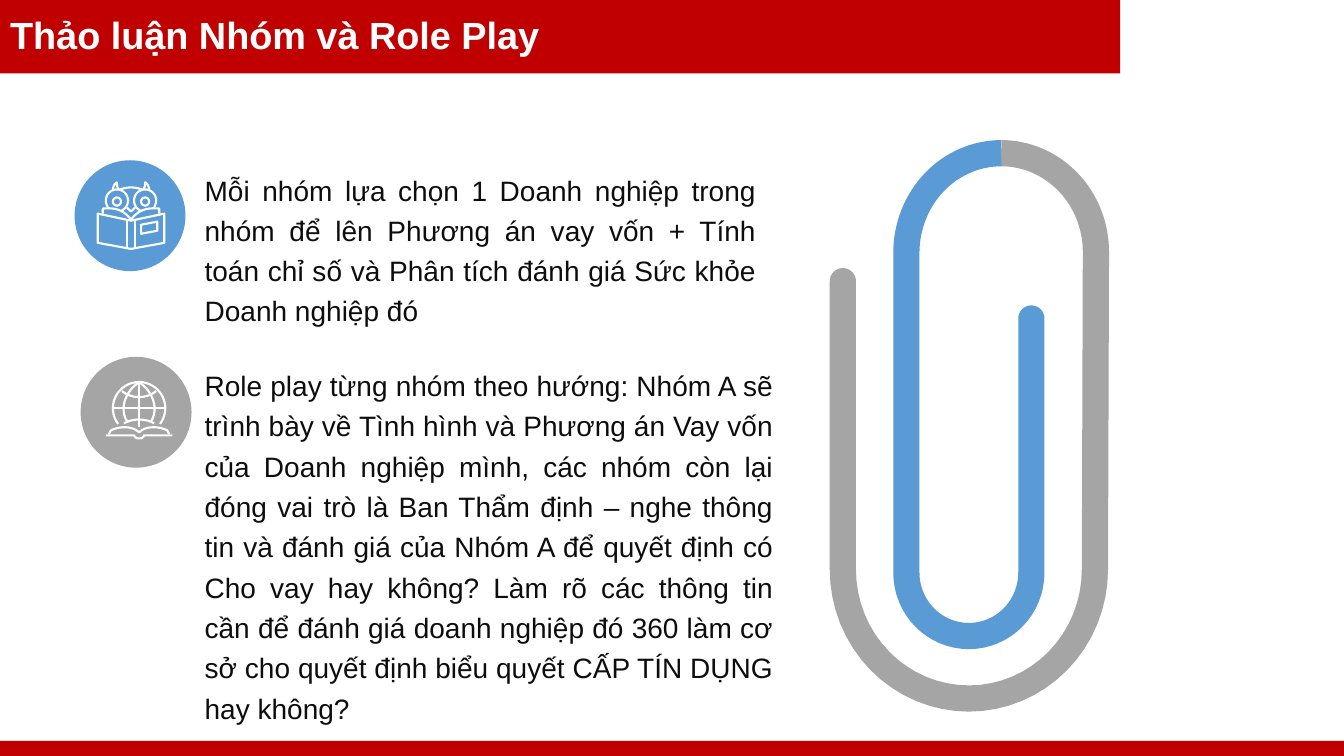
from dataclasses import dataclass
from math import cos, hypot, radians, sin

from pptx import Presentation
from pptx import util as u
from pptx.dml import color
from pptx.enum import shapes, text

Point = tuple[float, float]
Path = list[Point]


@dataclass(frozen=True)
class Theme:
    red: str = "C00000"
    blue: str = "5B9BD5"
    grey: str = "A5A5A5"
    white: str = "FFFFFF"
    ink: str = "0D0D0D"
    font: str = "Arial"
    title_size: float = 27
    body_size: float = 20
    icon_line: float = 1.5


@dataclass(frozen=True)
class Block:
    left: float
    top: float
    width: float
    height: float
    fill: str
    kind: shapes.MSO_SHAPE = shapes.MSO_SHAPE.RECTANGLE


@dataclass(frozen=True)
class Task:
    top: float
    width: float
    height: float
    wording: str


THEME = Theme()
CLIP_WIDTH = 0.26
TEXT_LEFT = 1.98

BLOCKS = [
    Block(0, 0, 11.11, 0.73, THEME.red),
    Block(0, 7.35, 13.33, 0.15, THEME.red),
    Block(0.74, 1.59, 1.1, 1.1, THEME.blue, shapes.MSO_SHAPE.OVAL),
    Block(0.8, 3.54, 1.1, 1.1, THEME.grey, shapes.MSO_SHAPE.OVAL),
]
TASKS = [
    Task(1.62, 5.57, 1.63,
         "Mỗi nhóm lựa chọn 1 Doanh nghiệp trong nhóm để lên Phương án vay vốn + Tính toán "
         "chỉ số và Phân tích đánh giá Sức khỏe Doanh nghiệp đó"),
    Task(3.56, 5.74, 3.65,
         "Role play từng nhóm theo hướng: Nhóm A sẽ trình bày về Tình hình và Phương án Vay vốn "
         "của Doanh nghiệp mình, các nhóm còn lại đóng vai trò là Ban Thẩm định – nghe thông tin "
         "và đánh giá của Nhóm A để quyết định có Cho vay hay không? Làm rõ các thông tin cần để "
         "đánh giá doanh nghiệp đó 360 làm cơ sở cho quyết định biểu quyết CẤP TÍN DỤNG hay không?"),
]


def arc(x: float, y: float, rx: float, ry: float, start: float, end: float, steps: int = 32) -> Path:
    angles = [radians(start + (end - start) * i / steps) for i in range(steps + 1)]
    return [(x + rx * cos(a), y + ry * sin(a)) for a in angles]


def curve(a: Point, b: Point, c: Point, d: Point, steps: int = 12) -> Path:
    def at(t: float, axis: int) -> float:
        s = 1 - t
        return s**3 * a[axis] + 3 * s * s * t * b[axis] + 3 * s * t * t * c[axis] + t**3 * d[axis]
    return [(at(i / steps, 0), at(i / steps, 1)) for i in range(steps + 1)]


def with_mirror(paths: list[Path], axis: float) -> list[Path]:
    return paths + [[(2 * axis - x, y) for x, y in path] for path in paths]


def ribbon(centre: Path, width: float) -> Path:
    left, right = [], []
    for i, (x, y) in enumerate(centre):
        before, after = centre[max(i - 1, 0)], centre[min(i + 1, len(centre) - 1)]
        dx = dy = 0.0
        for start, end in ((before, (x, y)), ((x, y), after)):
            length = hypot(end[0] - start[0], end[1] - start[1]) or 1
            dx += (end[0] - start[0]) / length
            dy += (end[1] - start[1]) / length
        scale = width / 2 / hypot(dx, dy)
        left.append((x + dy * scale, y - dx * scale))
        right.append((x - dy * scale, y + dx * scale))
    return left + right[::-1]


def draw_paths(target, paths: list[Path], *, fill: str = "", line: str = "", closed: bool = False):
    points = [[(u.Inches(x), u.Inches(y)) for x, y in path] for path in paths]
    builder = target.build_freeform(*points[0][0], scale=1.0)
    for i, path in enumerate(points):
        if i:
            builder.move_to(*path[0])
        builder.add_line_segments(path[1:], close=closed)
    shape = builder.convert_to_shape()
    shape.shadow.inherit = False
    if fill:
        shape.fill.solid()
        shape.fill.fore_color.rgb = color.RGBColor.from_string(fill)
    else:
        shape.fill.background()
    if line:
        shape.line.color.rgb = color.RGBColor.from_string(line)
        shape.line.width = u.Pt(THEME.icon_line)
    else:
        shape.line.fill.background()


def draw_block(slide, block: Block) -> None:
    shape = slide.shapes.add_shape(block.kind, *map(u.Inches, (block.left, block.top, block.width, block.height)))
    shape.shadow.inherit = False
    shape.fill.solid()
    shape.fill.fore_color.rgb = color.RGBColor.from_string(block.fill)
    shape.line.fill.background()


def write(shape, wording: str, *, size: float, ink: str, bold: bool = False, spacing: float = 1.0,
          align=text.PP_ALIGN.LEFT, inset: Point = (0.1, 0.05)) -> None:
    frame = shape.text_frame
    frame.word_wrap = True
    frame.auto_size = text.MSO_AUTO_SIZE.NONE
    frame.vertical_anchor = text.MSO_ANCHOR.TOP
    frame.margin_left = frame.margin_right = u.Inches(inset[0])
    frame.margin_top = frame.margin_bottom = u.Inches(inset[1])
    paragraph = frame.paragraphs[0]
    paragraph.alignment = align
    paragraph.line_spacing = spacing
    paragraph.space_before = u.Pt(0)
    run = paragraph.add_run()
    run.text = wording
    run.font.name = THEME.font
    run.font.size = u.Pt(size)
    run.font.bold = bold
    run.font.color.rgb = color.RGBColor.from_string(ink)


def draw_clip(slide) -> None:
    clip = slide.shapes.add_group_shape().shapes
    cap = CLIP_WIDTH / 2
    grey = [(8.36, 2.79), *arc(9.61, 5.65, 1.25, 1.28, 180, 0), *arc(9.93, 2.5, 0.94, 0.98, 0, -90)]
    blue = [(10.23, 3.16), *arc(9.61, 5.68, 0.62, 0.63, 0, 180), *arc(9.93, 2.51, 0.94, 0.99, 180, 270)]
    for centre, fill in ((grey, THEME.grey), (blue, THEME.blue)):
        end = arc(*centre[0], cap, cap, 180, 360)
        draw_paths(clip, [ribbon(centre, CLIP_WIDTH), end], fill=fill, closed=True)


def owl_paths() -> list[Path]:
    half = [
        [(1.3, 2.19), (0.97, 2.12), (0.97, 2.41), (1.3, 2.47)],
        [(1.26, 2.18), (1.26, 2.46)],
        [(1.02, 2.12), *curve((1.02, 2.07), (1.12, 2.06), (1.22, 2.07), (1.3, 2.18))],
        arc(1.16, 1.99, 0.11, 0.11, 145, 425),
        arc(1.16, 2, 0.04, 0.04, 0, 360),
        [(1.26, 2.06), (1.3, 2.1)],
        curve((1.19, 1.88), (1.22, 1.87), (1.26, 1.86), (1.3, 1.86)),
        curve((1.12, 1.89), (1.12, 1.85), (1.14, 1.82), (1.16, 1.81))
        + curve((1.16, 1.81), (1.16, 1.83), (1.16, 1.86), (1.18, 1.88)),
    ]
    label = [(1.4, 2.23), (1.56, 2.2), (1.56, 2.29), (1.4, 2.32), (1.4, 2.23)]
    return with_mirror(half, 1.3) + [label]


def globe_paths() -> list[Path]:
    half = [
        curve((1.37, 3.8), (1.25, 3.88), (1.18, 4.05), (1.26, 4.18)),
        [(1.05, 4.32), (1.33, 4.32), *curve((1.33, 4.32), (1.34, 4.34), (1.35, 4.35), (1.38, 4.35))],
        [(1.08, 4.31), *curve((1.1, 4.27), (1.18, 4.23), (1.31, 4.22), (1.38, 4.29))],
    ]
    return with_mirror(half, 1.38) + [
        arc(1.38, 4.05, 0.26, 0.26, 143, 397),
        [(1.38, 3.79), (1.38, 4.24)],
        [(1.12, 4.05), (1.64, 4.05)],
        curve((1.21, 3.88), (1.31, 3.96), (1.45, 3.96), (1.55, 3.88)),
        curve((1.23, 4.2), (1.32, 4.15), (1.44, 4.15), (1.53, 4.2)),
    ]


def main() -> None:
    presentation = Presentation()
    presentation.slide_width, presentation.slide_height = u.Inches(13.33), u.Inches(7.5)
    slide = presentation.slides.add_slide(presentation.slide_layouts[5])
    for block in BLOCKS:
        draw_block(slide, block)
    draw_clip(slide)
    for task in TASKS:
        box = slide.shapes.add_textbox(*map(u.Inches, (TEXT_LEFT, task.top, task.width, task.height)))
        write(box, task.wording, size=THEME.body_size, ink=THEME.ink, spacing=1.2,
              align=text.PP_ALIGN.JUSTIFY, inset=(0.05, 0.03))
    for paths in (owl_paths(), globe_paths()):
        draw_paths(slide.shapes, paths, line=THEME.white)
    title = slide.shapes.title
    title.left, title.top, title.width, title.height = map(u.Inches, (0, 0.12, 6.42, 0.61))
    write(title, "Thảo luận Nhóm và Role Play", size=THEME.title_size, ink=THEME.white, bold=True, spacing=0.9)
    slide.shapes.element.append(title.element)
    presentation.save("out.pptx")


if __name__ == "__main__":
    main()
